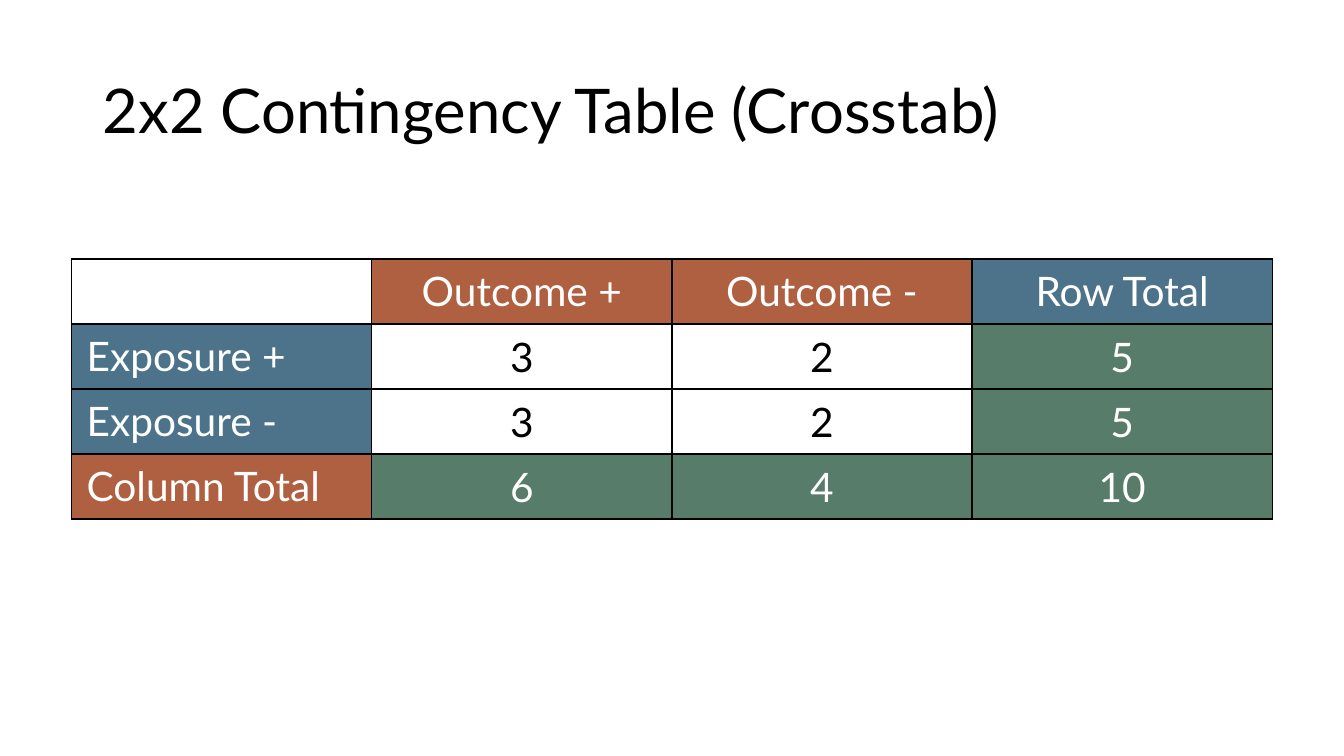
from lxml.etree import SubElement
from pptx import Presentation
from pptx.dml.color import RGBColor
from pptx.enum.text import MSO_ANCHOR, PP_ALIGN
from pptx.oxml.ns import qn
from pptx.util import Inches, Pt

COLORS = {
    "black": "000000",
    "white": "FFFFFF",
    "outcome": "AE6041",
    "exposure": "4D738A",
    "total": "577C69",
}

TABLE = [
    ["", "Outcome +", "Outcome -", "Row Total"],
    ["Exposure +", "3", "2", "5"],
    ["Exposure -", "3", "2", "5"],
    ["Column Total", "6", "4", "10"],
]
FILLS = [
    [None, "outcome", "outcome", "exposure"],
    ["exposure", None, None, "total"],
    ["exposure", None, None, "total"],
    ["outcome", "total", "total", "total"],
]


def write(tf, text, size, color="black", font="Lato", align=PP_ALIGN.LEFT, spacing=None):
    p = tf.paragraphs[0]
    p.alignment = align
    p.line_spacing = spacing
    r = p.add_run()
    r.text = text
    r.font.name = font
    r.font.size = Pt(size)
    r.font.color.rgb = RGBColor.from_string(COLORS[color])


def add_borders(cell, color="black", width=1):
    tcPr = cell._tc.get_or_add_tcPr()
    for side in ("lnL", "lnR", "lnT", "lnB"):
        ln = SubElement(tcPr, qn(f"a:{side}"), w=str(Pt(width)))
        fill = SubElement(ln, qn("a:solidFill"))
        SubElement(fill, qn("a:srgbClr"), val=COLORS[color])


class SlideBuilder:
    def __init__(self, slide, title_size=44, cell_size=29):
        self.s = slide
        self.title_size = title_size
        self.cell_size = cell_size

    def title(self, text, x, y, w, h):
        sp = self.s.shapes.add_textbox(Inches(x), Inches(y), Inches(w), Inches(h))
        tf = sp.text_frame
        tf.word_wrap = True
        tf.vertical_anchor = MSO_ANCHOR.MIDDLE
        write(tf, text, self.title_size, spacing=0.9)

    def table(self, rows, fills, x, y, w, h):
        frame = self.s.shapes.add_table(
            len(rows), len(rows[0]), Inches(x), Inches(y), Inches(w), Inches(h))
        table = frame.table
        table.first_row = table.horz_banding = False
        for i, (texts, colors) in enumerate(zip(rows, fills)):
            for j, (text, color) in enumerate(zip(texts, colors)):
                self.cell(table.cell(i, j), text, color, i == 0, j == 0)

    def cell(self, cell, text, color, in_header, in_first_column):
        cell.margin_left = cell.margin_right = Inches(0.15)
        cell.margin_top = cell.margin_bottom = Inches(0.07)
        is_label = in_header or in_first_column
        cell.vertical_anchor = MSO_ANCHOR.TOP if is_label else MSO_ANCHOR.MIDDLE
        # Borders come before the fill in the cell properties
        add_borders(cell)
        if color:
            cell.fill.solid()
            cell.fill.fore_color.rgb = RGBColor.from_string(COLORS[color])
        else:
            cell.fill.background()
        if text:
            write(cell.text_frame, text, self.cell_size,
                  color="white" if color else "black",
                  align=PP_ALIGN.LEFT if in_first_column else PP_ALIGN.CENTER)


def main():
    prs = Presentation()
    prs.slide_width, prs.slide_height = Inches(13.33), Inches(7.5)
    builder = SlideBuilder(prs.slides.add_slide(prs.slide_layouts[6]))

    # Title
    builder.title("2x2 Contingency Table (Crosstab)", 0.92, 0.4, 11.5, 1.45)

    # Contingency table
    builder.table(TABLE, FILLS, 0.71, 2.57, 11.91, 2.58)

    prs.save("out.pptx")


if __name__ == "__main__":
    main()
